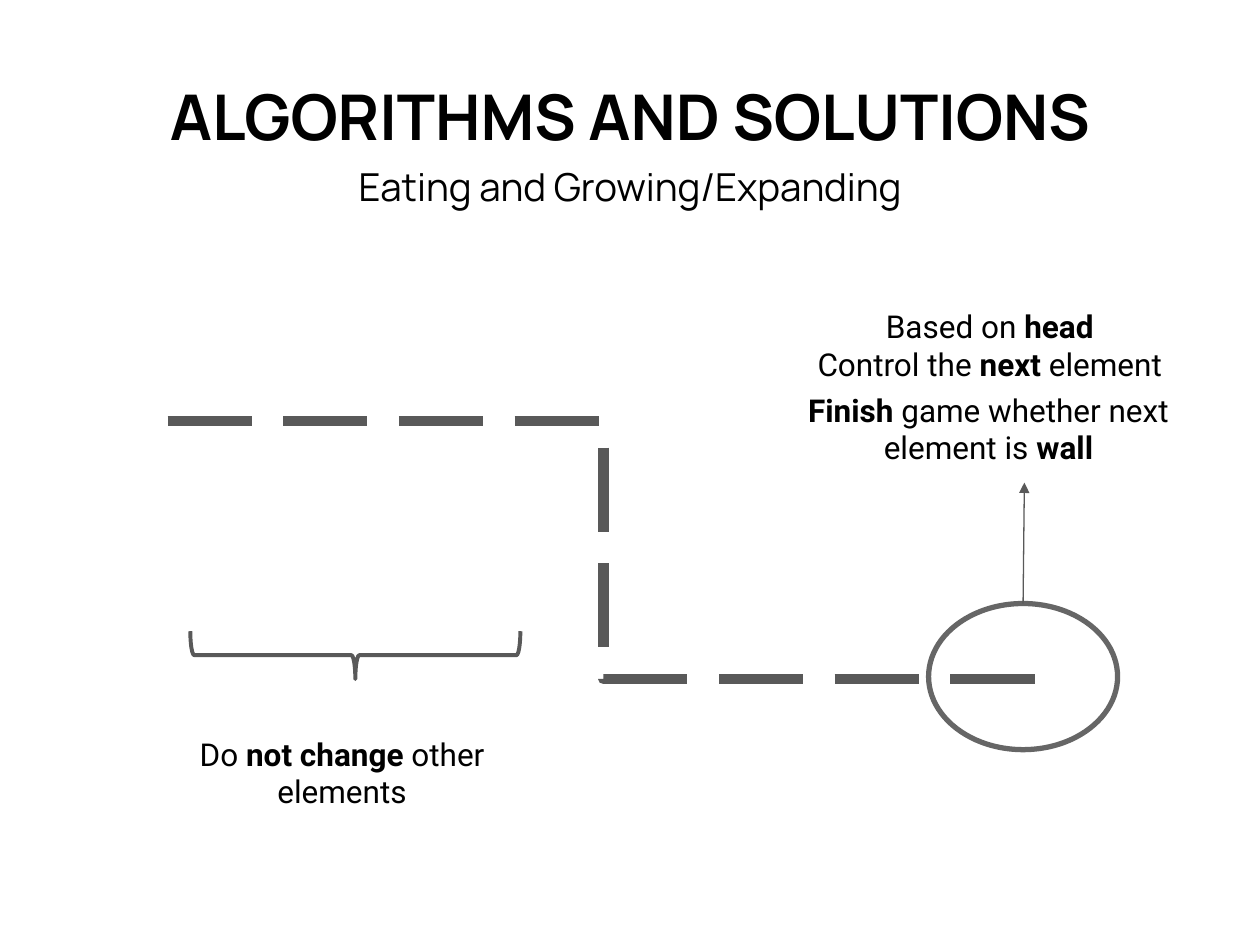
import pptx
import pptx.util
import pptx.dml.color
import pptx.enum.dml
import pptx.enum.shapes
import pptx.enum.text
import pptx.oxml
import pptx.oxml.ns
from pptx.util import Inches

COLORS = {"text": "000000", "snake": "595959", "ring": "666666"}

# Each paragraph is a list of (text, bold) runs.
TITLE = [[("ALGORITHMS AND SOLUTIONS", True)]]
SUBTITLE = [[("Eating and Growing/Expanding", False)]]
NOTES = [
    ((6.15, 2.34, 3.41, 0.83), [
        [("Based on ", False), ("head", True)],
        [("Control the ", False), ("next ", True), ("element", False)],
    ]),
    ((6.04, 3, 3.61, 0.76), [
        [("Finish", True), (" game whether next element is ", False), ("wall", True)],
    ]),
    ((1.01, 5.73, 3.41, 0.83), [
        [("Do ", False), ("not change", True), (" other elements", False)],
    ]),
]

SNAKE = (1.33, 3.34, 8.25, 5.39)
HEAD_RING = (7.37, 4.79, 1.5, 1.16)
HEAD_ARROW = (8.12, 4.79, 8.13, 3.83)
BODY_BRACE = (2.63, 3.89, 0.38, 2.62)


def inches(values):
    return [Inches(v) for v in values]


def rgb(name):
    return pptx.dml.color.RGBColor.from_string(COLORS[name])


def add_text(slide, box, paragraphs, *, size=18, font="Roboto", anchor="TOP",
             line_spacing=None, space_after=None):
    tf = slide.shapes.add_textbox(*inches(box)).text_frame
    tf.word_wrap = True
    tf.vertical_anchor = pptx.enum.text.MSO_ANCHOR[anchor]
    tf.margin_left = tf.margin_right = Inches(0.1)
    tf.margin_top = tf.margin_bottom = Inches(0.1)
    for i, runs in enumerate(paragraphs):
        p = tf.add_paragraph() if i else tf.paragraphs[0]
        p.alignment = pptx.enum.text.PP_ALIGN.CENTER
        p.line_spacing = line_spacing
        if space_after is not None:
            p.space_after = pptx.util.Pt(space_after)
        for text, bold in runs:
            r = p.add_run()
            r.text = text
            r.font.name = font
            r.font.size = pptx.util.Pt(size)
            r.font.bold = bold
            r.font.color.rgb = rgb("text")


def style_line(shape, color, width):
    shape.line.color.rgb = rgb(color)
    shape.line.width = pptx.util.Pt(width)


def add_outline(slide, kind, box, color, width):
    """Add a preset shape with a line and no fill."""
    s = slide.shapes.add_shape(pptx.enum.shapes.MSO_SHAPE[kind], *inches(box))
    s.shadow.inherit = False
    s.fill.background()
    style_line(s, color, width)
    return s


def add_connector(slide, kind, ends, color, width):
    c = slide.shapes.add_connector(pptx.enum.shapes.MSO_CONNECTOR[kind], *inches(ends))
    style_line(c, color, width)
    c._element.spPr.append(pptx.oxml.parse_xml(
        f'<a:effectLst {pptx.oxml.ns.nsdecls("a")}/>'))
    return c


def add_arrowhead(connector):
    connector.line._get_or_add_ln().append(pptx.oxml.parse_xml(
        f'<a:tailEnd {pptx.oxml.ns.nsdecls("a")} type="triangle"/>'))


def main():
    prs = pptx.Presentation()
    prs.slide_width, prs.slide_height = inches((10, 7.5))
    slide = prs.slides.add_slide(prs.slide_layouts[6])

    add_text(slide, (0.34, 0.5, 9.32, 0.83), TITLE,
             size=36, font="Manrope", anchor="MIDDLE")
    add_text(slide, (0.34, 1.14, 9.32, 0.83), SUBTITLE,
             size=22, font="Manrope", line_spacing=1.15, space_after=16)

    snake = add_connector(slide, "ELBOW", SNAKE, "snake", 6)
    snake.line.dash_style = pptx.enum.dml.MSO_LINE.LONG_DASH

    ring = add_outline(slide, "FLOWCHART_CONNECTOR", HEAD_RING, "ring", 3)
    arrow = add_connector(slide, "STRAIGHT", HEAD_ARROW, "snake", 0.75)
    arrow.begin_connect(ring, 0)
    add_arrowhead(arrow)

    brace = add_outline(slide, "RIGHT_BRACE", BODY_BRACE, "snake", 2.25)
    brace.rotation = 90
    brace.adjustments[0] = 0.083
    brace.adjustments[1] = 0.5

    for box, paragraphs in NOTES:
        add_text(slide, box, paragraphs)

    prs.save("out.pptx")


if __name__ == "__main__":
    main()
